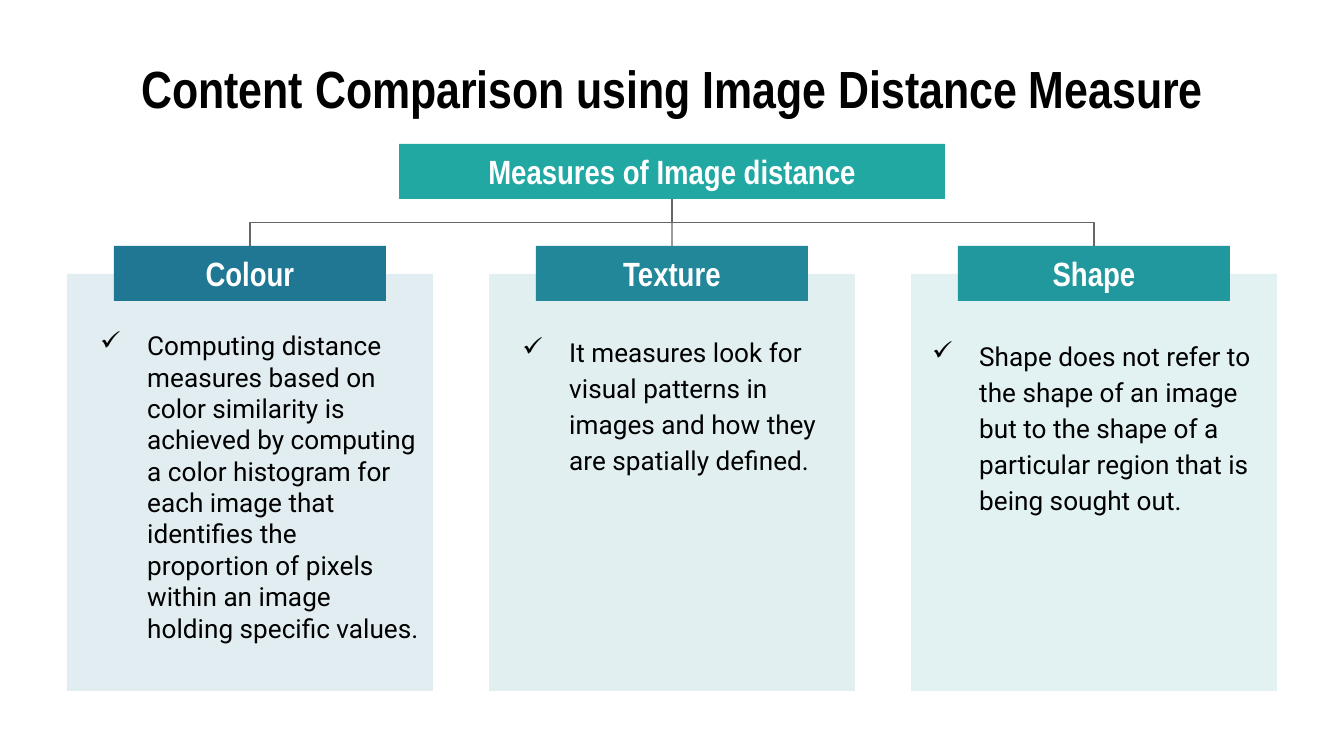
import pptx
import pptx.util
import pptx.dml.color
import pptx.enum.shapes
import pptx.enum.text
import pptx.oxml
import pptx.oxml.ns
from lxml import etree

# Content
TITLE = "Content Comparison using Image Distance Measure"
ROOT = "Measures of Image distance"
# heading, colour name, body text, body left offset, body top, body height, line spacing
MEASURES = [
    ("Colour", "blue",
     "Computing distance measures based on color similarity is achieved by "
     "computing a color histogram for each image that identifies the proportion "
     "of pixels within an image holding specific values.", 0, 324, 325, 1.0),
    ("Texture", "teal",
     "It measures look for visual patterns in images and how they are spatially "
     "defined.", 0, 280, 247, 1.15),
    ("Shape", "sea",
     "Shape does not refer to the shape of an image but to the shape of a "
     "particular region that is being sought out.", -12, 302, 247, 1.15),
]
COLOURS = {"blue": "207794", "teal": "218799", "sea": "21979E", "root": "22A8A2",
           "line": "666666", "text": "000000", "white": "FFFFFF"}
HEADING_FONT, BODY_FONT = "Arial Narrow", "Roboto"

# Layout in px
SLIDE_WIDTH, SLIDE_HEIGHT = 1344, 756
MARGIN, PANEL_WIDTH, PANEL_STEP = 67, 366, 422
PANEL_TOP, PANEL_HEIGHT = 274, 417
BOX_HEIGHT, ROOT_TOP, ROOT_WIDTH = 55, 144, 546
HEADING_TOP, HEADING_WIDTH = 246, 272
INSET, BULLET_MARGIN, BULLET_HANG = 0.1, 67, 47
PANEL_ALPHA = 13000


def px(value):
    return pptx.util.Emu(round(value * 914400 / 134.4))


def rgb(name):
    return pptx.dml.color.RGBColor.from_string(COLOURS[name])


def write(shape, text, font, size, colour, bold=False, centred=True):
    frame = shape.text_frame
    frame.text = text
    frame.word_wrap = True
    frame.auto_size = pptx.enum.text.MSO_AUTO_SIZE.NONE
    frame.vertical_anchor = pptx.enum.text.MSO_ANCHOR.MIDDLE
    frame.margin_left = frame.margin_right = pptx.util.Inches(INSET)
    frame.margin_top = frame.margin_bottom = pptx.util.Inches(INSET)
    paragraph = frame.paragraphs[0]
    align = pptx.enum.text.PP_ALIGN
    paragraph.alignment = align.CENTER if centred else align.LEFT
    run_font = paragraph.runs[0].font
    run_font.name, run_font.size, run_font.bold = font, pptx.util.Pt(size), bold
    run_font.color.rgb = rgb(colour)
    return paragraph


def add_box(left, top, width, height, colour, text=None):
    box = slide.shapes.add_shape(pptx.enum.shapes.MSO_SHAPE.RECTANGLE,
                                 px(left), px(top), px(width), px(height))
    box.shadow.inherit = False
    box.fill.solid()
    box.fill.fore_color.rgb = rgb(colour)
    box.line.fill.background()
    if text:
        write(box, text, HEADING_FONT, 18, "white", bold=True)
    return box


def add_panel(left, colour):
    panel = add_box(left, PANEL_TOP, PANEL_WIDTH, PANEL_HEIGHT, colour)
    fill_colour = panel.fill._xPr.find(".//" + pptx.oxml.ns.qn("a:srgbClr"))
    etree.SubElement(fill_colour, pptx.oxml.ns.qn("a:alpha"), val=str(PANEL_ALPHA))


def add_body(left, top, height, text, spacing):
    body = slide.shapes.add_textbox(px(left), px(top), px(PANEL_WIDTH), px(height))
    paragraph = write(body, text, BODY_FONT, 14, "text", centred=False)
    paragraph.line_spacing = spacing
    properties = paragraph._p.get_or_add_pPr()
    properties.set("marL", str(px(BULLET_MARGIN)))
    properties.set("indent", str(-px(BULLET_HANG)))
    bullet_colour = etree.SubElement(properties, pptx.oxml.ns.qn("a:buClr"))
    etree.SubElement(bullet_colour, pptx.oxml.ns.qn("a:srgbClr"), val=COLOURS["text"])
    etree.SubElement(properties, pptx.oxml.ns.qn("a:buChar"), char="✓")


def add_branch(parent, child):
    """Join parent's bottom to child's top, turning elbows to start downwards."""
    start_x, start_y = parent.left + parent.width // 2, parent.top + parent.height
    end_x, end_y = child.left + child.width // 2, child.top
    across, down = end_x - start_x, end_y - start_y
    straight = abs(across) < px(1)
    kinds = pptx.enum.shapes.MSO_CONNECTOR
    branch = slide.shapes.add_connector(kinds.STRAIGHT if straight else kinds.ELBOW,
                                        start_x, start_y, end_x, end_y)
    branch.begin_connect(parent, 2)
    branch.end_connect(child, 0)
    if not straight:
        branch.left = (start_x + end_x - down) // 2
        branch.top = (start_y + end_y - abs(across)) // 2
        branch.width, branch.height = down, abs(across)
        transform = branch._element.spPr.find(pptx.oxml.ns.qn("a:xfrm"))
        transform.set("rot", str((90 if across < 0 else 270) * 60000))
        transform.set("flipH", "0" if across < 0 else "1")
        transform.set("flipV", "0")
    branch.line.color.rgb = rgb("line")
    branch.line.width = pptx.util.Pt(0.75)
    etree.SubElement(branch._element.spPr, pptx.oxml.ns.qn("a:effectLst"))


presentation = pptx.Presentation()
presentation.slide_width, presentation.slide_height = px(SLIDE_WIDTH), px(SLIDE_HEIGHT)
slide = presentation.slides.add_slide(presentation.slide_layouts[5])

# Title
title = slide.shapes.title
title.left, title.top = px(MARGIN), px(60)
title.width, title.height = px(SLIDE_WIDTH - 2 * MARGIN), px(BOX_HEIGHT)
write(title, TITLE, HEADING_FONT, 28, "text", bold=True)

# Root box
root = add_box((SLIDE_WIDTH - ROOT_WIDTH) / 2, ROOT_TOP, ROOT_WIDTH, BOX_HEIGHT,
               "root", ROOT)

# One column per measure, with its branch from the root
for index, (name, colour, text, shift, top, height, spacing) in enumerate(MEASURES):
    left = MARGIN + index * PANEL_STEP
    add_panel(left, colour)
    heading = add_box(left + (PANEL_WIDTH - HEADING_WIDTH) / 2, HEADING_TOP,
                      HEADING_WIDTH, BOX_HEIGHT, colour, name)
    add_body(left + shift, top, height, text, spacing)
    add_branch(root, heading)

presentation.save("out.pptx")
